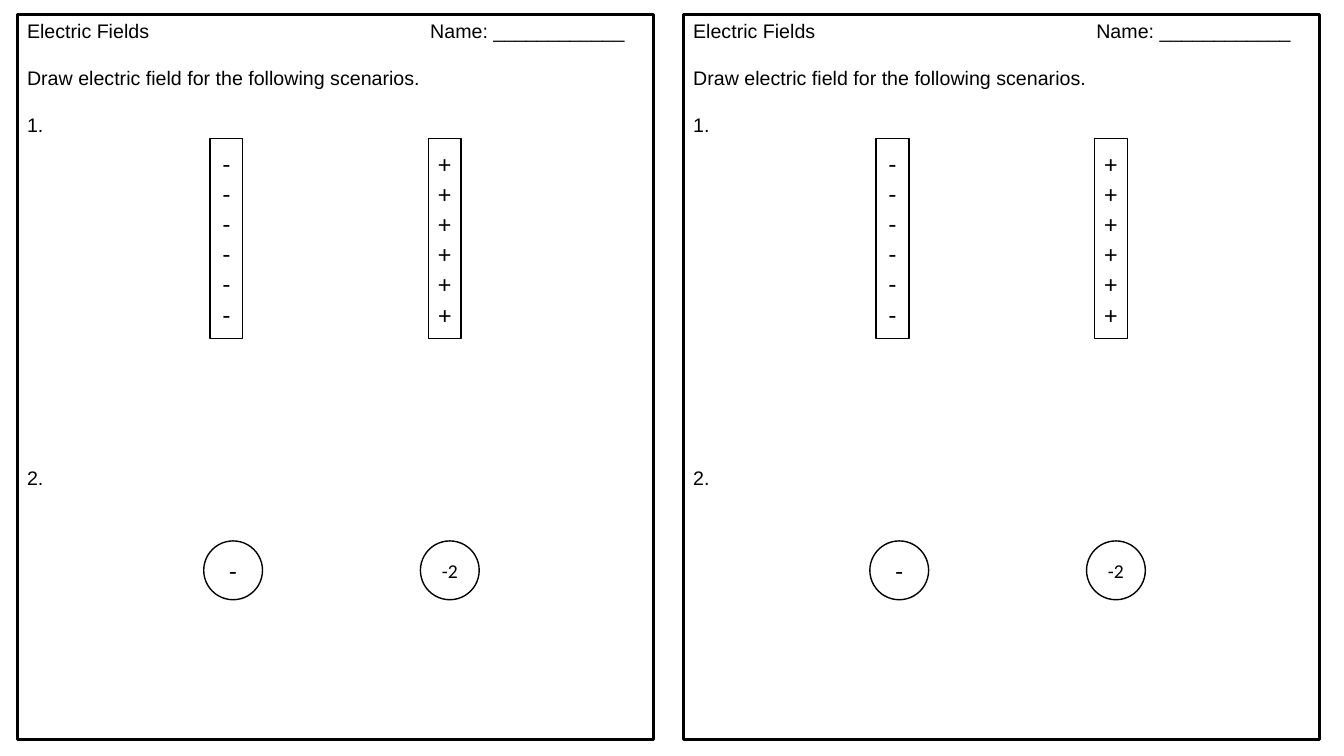
from pptx import Presentation
from pptx import util as u
from pptx.dml.color import RGBColor
from pptx.enum import shapes, text
from pptx.oxml import parse_xml
from pptx.oxml.ns import nsdecls

BLACK = RGBColor(0, 0, 0)
COLUMNS, ROWS = 160, 90
SHEET_OFFSETS = (0, 79.3)
LINE_PT = 16.8
BLANK_LINES_BEFORE = (0, 1, 1, 14)
SHEET_LINES = (
    "Electric Fields\tName: ____________",
    "Draw electric field for the following scenarios.",
    "1.",
    "2.",
)


class Worksheet:
    """Draws outlined shapes on a slide grid; left shifts everything sideways."""

    def __init__(self, prs, slide):
        self.slide = slide
        self.cell_w = prs.slide_width / COLUMNS
        self.cell_h = prs.slide_height / ROWS
        self.left = 0

    def outline(self, kind, col, row, cols, rows, weight):
        sp = self.slide.shapes.add_shape(
            kind,
            round((self.left + col) * self.cell_w), round(row * self.cell_h),
            round(cols * self.cell_w), round(rows * self.cell_h))
        sp.shadow.inherit = False
        sp.fill.background()
        sp.line.color.rgb = BLACK
        sp.line.width = u.Pt(weight)
        sp.text_frame.word_wrap = True
        return sp

    def style(self, p, font, size, align):
        p.alignment = align
        for r in p.runs:
            r.font.name = font
            r.font.size = u.Pt(size)
            r.font.color.rgb = BLACK

    def page(self):
        sp = self.outline(shapes.MSO_SHAPE.RECTANGLE, 2.04, 1.7, 75.8, 86.3, 2.25)
        tf = sp.text_frame
        tf.vertical_anchor = text.MSO_ANCHOR.TOP
        tf.text = "\n".join(SHEET_LINES)
        for p, blanks in zip(tf.paragraphs, BLANK_LINES_BEFORE):
            p.line_spacing = u.Pt(LINE_PT)
            if blanks:
                p.space_before = u.Pt(blanks * LINE_PT)
            self.style(p, "Arial", 14, text.PP_ALIGN.LEFT)
        self.name_tab(tf.paragraphs[0])

    def name_tab(self, p):
        """Set the tab stop that the Name field starts from."""
        stop = round(48 * self.cell_w)
        p._p.get_or_add_pPr().append(parse_xml(
            f'<a:tabLst {nsdecls("a")}><a:tab pos="{stop}" algn="l"/></a:tabLst>'))

    def charge(self, kind, col, row, cols, rows, label, size):
        tf = self.outline(kind, col, row, cols, rows, 1).text_frame
        tf.vertical_anchor = text.MSO_ANCHOR.MIDDLE
        tf.text = label
        self.style(tf.paragraphs[0], "Calibri", size, text.PP_ALIGN.CENTER)

    def plate(self, col, sign):
        self.charge(shapes.MSO_SHAPE.RECTANGLE, col, 16.5, 3.9, 23.8, sign * 6, 18)

    def point(self, col, label, size):
        self.charge(shapes.MSO_SHAPE.OVAL, col, 64.4, 7, 7, label, size)


def main():
    prs = Presentation()
    prs.slide_width, prs.slide_height = u.Inches(13.33), u.Inches(7.5)
    s = prs.slides.add_slide(prs.slide_layouts[6])
    sheet = Worksheet(prs, s)
    for sheet.left in SHEET_OFFSETS:
        sheet.page()
        sheet.point(24.25, "-", 18)
        sheet.point(50.05, "-2", 14)
        sheet.plate(25, "-")
        sheet.plate(51, "+")
    prs.save("out.pptx")


if __name__ == "__main__":
    main()
